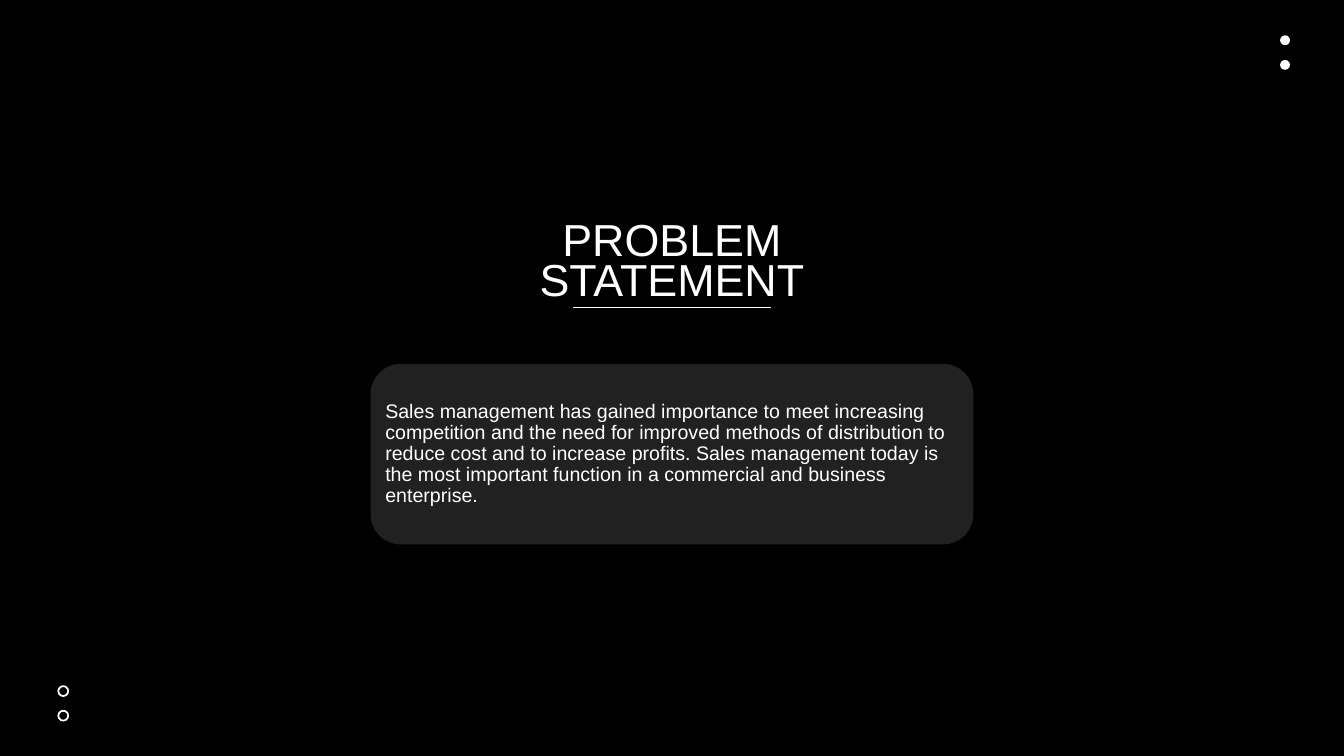
"""Build the problem statement slide: a title, a rule, a text card and corner dots."""
from dataclasses import dataclass

from lxml import etree
from pptx import Presentation
from pptx.dml.color import RGBColor
from pptx.enum import shapes, text
from pptx.oxml import ns
from pptx.util import Cm, Pt

TITLE = "PROBLEM STATEMENT"
STATEMENT = (
    "Sales management has gained importance to meet increasing competition "
    "and the need for improved methods of distribution to reduce cost and to "
    "increase profits. Sales management today is the most important function "
    "in a commercial and business enterprise."
)
DOT_PAIRS = [
    {"left": 32.26, "top": 0.89, "filled": True},
    {"left": 1.47, "top": 17.29, "filled": False},
]
DOT_SIZE, DOT_STEP = 0.25, 0.62

PAGE_WIDTH, PAGE_HEIGHT = 33.87, 19.05
TITLE_TOP, TITLE_WIDTH, TITLE_HEIGHT = 5.59, 10.62, 2.16
RULE_WIDTH = 4.98
CARD_TOP, CARD_WIDTH, CARD_HEIGHT = 9.17, 15.19, 4.55
CARD_MARGIN, TEXT_INSET = 0.22, 0.15


@dataclass(frozen=True)
class Theme:
    """Colours, font and type sizes."""
    background: RGBColor = RGBColor(0, 0, 0)
    ink: RGBColor = RGBColor(255, 255, 255)
    card: RGBColor = RGBColor(0x21, 0x21, 0x21)
    font: str = "Arial"
    title_size: Pt = Pt(32)
    body_size: Pt = Pt(14)
    rule_line: Pt = Pt(0.75)
    dot_line: Pt = Pt(1.25)


THEME = Theme()


def centred(width):
    """Return the left edge that centres a width on the page."""
    return (PAGE_WIDTH - width) / 2


def write(box, words, size, align, spacing, inset):
    """Write one formatted paragraph, centred vertically in a box."""
    frame = box.text_frame
    frame.text = words
    frame.word_wrap = True
    frame.auto_size = text.MSO_AUTO_SIZE.NONE
    frame.vertical_anchor = text.MSO_ANCHOR.MIDDLE
    frame.margin_left = frame.margin_right = Cm(inset)
    frame.margin_top = frame.margin_bottom = Cm(inset)
    para = frame.paragraphs[0]
    para.alignment = align
    para.line_spacing = spacing
    para.space_before = para.space_after = Pt(0)
    for span in para.runs:
        span.font.name = THEME.font
        span.font.size = size
        span.font.color.rgb = THEME.ink


def add_dots(page, left, top, filled):
    """Add a vertical pair of solid or outlined dots."""
    for index in range(2):
        dot = page.shapes.add_shape(
            shapes.MSO_SHAPE.OVAL, Cm(left), Cm(top + index * DOT_STEP),
            Cm(DOT_SIZE), Cm(DOT_SIZE))
        dot.shadow.inherit = False
        if filled:
            dot.fill.solid()
            dot.fill.fore_color.rgb = THEME.ink
            dot.line.fill.background()
        else:
            dot.fill.background()
            dot.line.color.rgb = THEME.ink
            dot.line.width = THEME.dot_line


def add_title(page):
    """Place the title with the rule along its lower edge."""
    title = page.shapes.title
    title.left, title.top = Cm(centred(TITLE_WIDTH)), Cm(TITLE_TOP)
    title.width, title.height = Cm(TITLE_WIDTH), Cm(TITLE_HEIGHT)
    write(title, TITLE, THEME.title_size, text.PP_ALIGN.CENTER, 0.75, 0)

    left, rule_y = centred(RULE_WIDTH), Cm(TITLE_TOP + TITLE_HEIGHT)
    rule = page.shapes.add_connector(
        shapes.MSO_CONNECTOR.STRAIGHT, Cm(left), rule_y,
        Cm(left + RULE_WIDTH), rule_y)
    rule.line.color.rgb = THEME.ink
    rule.line.width = THEME.rule_line
    etree.SubElement(rule._element.spPr, ns.qn("a:effectLst"))


def add_card(page):
    """Add the rounded card and the statement inside it."""
    left = centred(CARD_WIDTH)
    card = page.shapes.add_shape(
        shapes.MSO_SHAPE.ROUNDED_RECTANGLE, Cm(left), Cm(CARD_TOP),
        Cm(CARD_WIDTH), Cm(CARD_HEIGHT))
    card.shadow.inherit = False
    card.fill.solid()
    card.fill.fore_color.rgb = THEME.card
    card.line.fill.background()
    box = page.shapes.add_textbox(
        Cm(left + CARD_MARGIN), Cm(CARD_TOP + CARD_MARGIN),
        Cm(CARD_WIDTH - 2 * CARD_MARGIN), Cm(CARD_HEIGHT - 2 * CARD_MARGIN))
    write(box, STATEMENT, THEME.body_size, text.PP_ALIGN.LEFT, 0.9, TEXT_INSET)


def main():
    """Build and save the deck."""
    deck = Presentation()
    deck.slide_width, deck.slide_height = Cm(PAGE_WIDTH), Cm(PAGE_HEIGHT)
    page = deck.slides.add_slide(deck.slide_layouts.get_by_name("Title Only"))
    page.background.fill.solid()
    page.background.fill.fore_color.rgb = THEME.background
    for pair in DOT_PAIRS:
        add_dots(page, **pair)
    add_title(page)
    add_card(page)
    deck.save("out.pptx")


if __name__ == "__main__":
    main()
